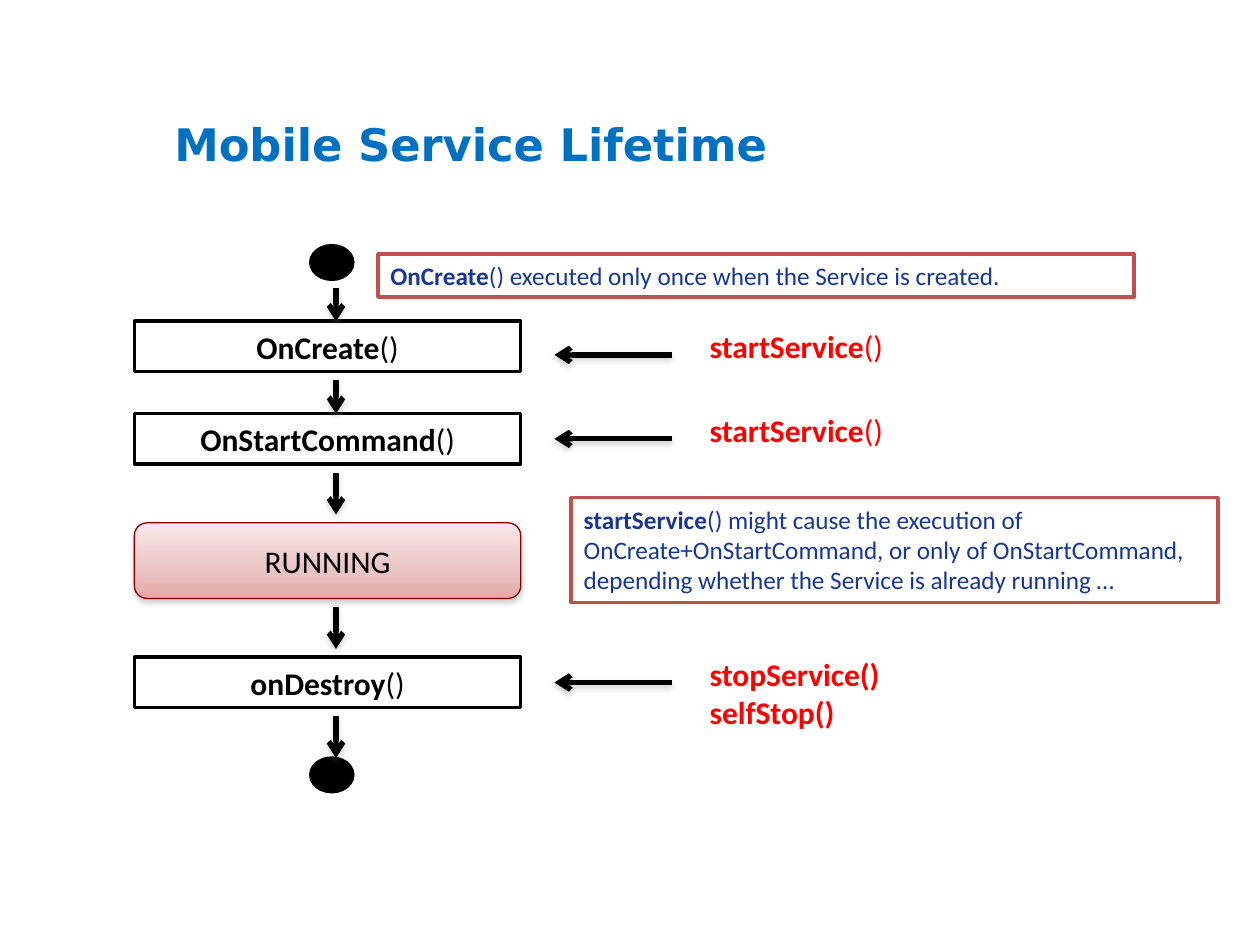
from copy import deepcopy
from lxml.etree import SubElement
from pptx import Presentation
from pptx.dml.color import RGBColor
from pptx.enum.shapes import MSO_CONNECTOR, MSO_SHAPE
from pptx.enum.text import MSO_ANCHOR, MSO_AUTO_SIZE, PP_ALIGN
from pptx.oxml.ns import qn
from pptx.util import Emu, Pt

PX = 7620  # EMU per px, 120 px to the inch


class Theme:
    black = RGBColor.from_string("000000")
    white = RGBColor.from_string("FFFFFF")
    title = RGBColor.from_string("0070C0")
    call = RGBColor.from_string("FF0000")
    note = RGBColor.from_string("163794")
    frame = RGBColor.from_string("C0504D")
    edge = RGBColor.from_string("8A0000")
    shade = "808080"
    blend = [(0, "F8E8E8"), (0.65, "EAC3C3"), (1, "E3A8A8")]
    head, body = "DejaVu Sans", "Calibri"
    big, mid, small = Pt(25.6), Pt(18), Pt(14.4)


def write(shape, lines, size, color, align=PP_ALIGN.LEFT, face=Theme.body):
    """Fill a shape with lines, each a list of (text, bold) runs."""
    frame = shape.text_frame
    for i, line in enumerate(lines):
        para = frame.add_paragraph() if i else frame.paragraphs[0]
        para.alignment = align
        for text, bold in line:
            run = para.add_run()
            run.text = text
            run.font.size, run.font.bold, run.font.name = size, bold, face
            run.font.color.rgb = color


def cast(item, alpha, dist):
    """Drop a soft grey shadow straight down."""
    props = item._element.spPr
    effects = props.find(qn("a:effectLst"))
    if effects is None:
        effects = SubElement(props, qn("a:effectLst"))
    drop = SubElement(effects, qn("a:outerShdw"), blurRad=str(Pt(3.1)),
                      dist=str(Pt(dist)), dir="5400000", rotWithShape="0")
    tint = SubElement(drop, qn("a:srgbClr"), val=Theme.shade)
    SubElement(tint, qn("a:alpha"), val=str(alpha * 1000))


deck = Presentation()
deck.slide_width, deck.slide_height = Emu(1200 * PX), Emu(900 * PX)
slide = deck.slides.add_slide(deck.slide_layouts[5])
shapes = slide.shapes

# Title
title = shapes.title
title.left, title.top, title.width, title.height = [Emu(v * PX) for v in (154, 107, 890, 59)]
title.text_frame.auto_size = MSO_AUTO_SIZE.NONE
title.text_frame.vertical_anchor = MSO_ANCHOR.MIDDLE
write(title, [[("Mobile Service Lifetime", True)]], Theme.big, Theme.title, face=Theme.head)

# Start and end dots
for top in (234, 722):
    dot = shapes.add_shape(MSO_SHAPE.OVAL, 296 * PX, top * PX, 40 * PX, 32 * PX)
    dot.shadow.inherit = False
    dot.fill.solid()
    dot.fill.fore_color.rgb = dot.line.color.rgb = Theme.black
    dot.line.width = Pt(2)

# Callback boxes
for name, top in (("OnCreate", 306), ("OnStartCommand", 394), ("onDestroy", 626)):
    box = shapes.add_shape(MSO_SHAPE.RECTANGLE, 128 * PX, top * PX, 368 * PX, 48 * PX)
    box.shadow.inherit = False
    box.fill.solid()
    box.fill.fore_color.rgb = Theme.white
    box.line.color.rgb, box.line.width = Theme.black, Pt(2)
    write(box, [[(name, True), ("()", False)]], Theme.mid, Theme.black, PP_ALIGN.CENTER)

# Running state, with a three-stop gradient
state = shapes.add_shape(MSO_SHAPE.ROUNDED_RECTANGLE, 128 * PX, 498 * PX, 368 * PX, 72 * PX)
state.shadow.inherit = False
state.fill.gradient()
state.fill.gradient_angle = 270
stops = state._element.spPr.find(qn("a:gradFill")).find(qn("a:gsLst"))
stops.append(deepcopy(stops[0]))
for stop, (place, color) in zip(state.fill.gradient_stops, Theme.blend):
    stop.position = place
    stop.color.rgb = RGBColor.from_string(color)
state.line.color.rgb, state.line.width = Theme.edge, Pt(0.75)
cast(state, 38, 1.6)
write(state, [[("RUNNING", False)]], Theme.mid, Theme.black, PP_ALIGN.CENTER)

# Arrows: down the flow, then from each call to its callback
flow = [(274, 306), (362, 394), (450, 490), (578, 618), (682, 722)]
paths = [(320, start, 320, end) for start, end in flow]
paths += [(640, y, 528, y) for y in (338, 418, 650)]
for ends in paths:
    arrow = shapes.add_connector(MSO_CONNECTOR.STRAIGHT, *[v * PX for v in ends])
    arrow.line.color.rgb, arrow.line.width = Theme.black, Pt(3)
    SubElement(arrow.line._get_or_add_ln(), qn("a:tailEnd"), type="arrow")
    cast(arrow, 35, 1.8)

# Calls that trigger the callbacks
start = [[("startService", True), ("()", False)]]
stop = [[("stopService()", True)], [("selfStop()", True)]]
for lines, top, high in ((start, 306, 48), (start, 386, 48), (stop, 618, 85)):
    label = shapes.add_textbox(664 * PX, top * PX, 190 * PX, high * PX)
    label.text_frame.word_wrap = False
    label.text_frame.auto_size = MSO_AUTO_SIZE.SHAPE_TO_FIT_TEXT
    write(label, lines, Theme.mid, Theme.call)

# Framed notes
notes = [
    ((544, 474, 616, 100), "startService",
     "() might cause the execution of OnCreate+OnStartCommand, or only of "
     "OnStartCommand, depending whether the Service is already running …"),
    ((360, 242, 720, 41), "OnCreate", "() executed only once when the Service is created."),
]
for area, name, rest in notes:
    note = shapes.add_textbox(*[v * PX for v in area])
    note.fill.solid()
    note.fill.fore_color.rgb = Theme.white
    note.line.color.rgb, note.line.width = Theme.frame, Pt(2)
    note.text_frame.word_wrap = True
    note.text_frame.auto_size = MSO_AUTO_SIZE.SHAPE_TO_FIT_TEXT
    write(note, [[(name, True), (rest, False)]], Theme.small, Theme.note)

deck.save("out.pptx")
